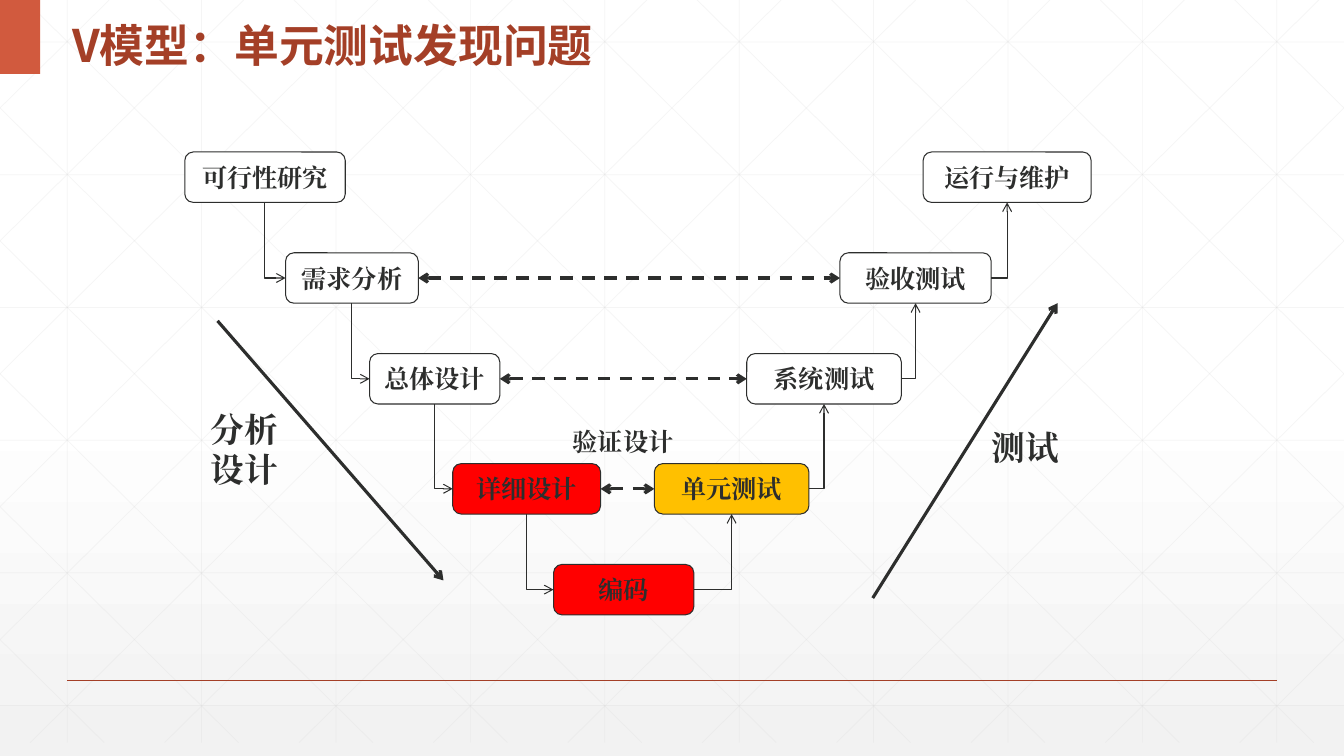
import dataclasses
import typing

import lxml.etree
import pptx
import pptx.dml.color
import pptx.enum.dml
import pptx.enum.shapes
import pptx.enum.text
import pptx.oxml.ns
import pptx.util

RGB = pptx.dml.color.RGBColor
WHITE = RGB(0xFF, 0xFF, 0xFF)
MIST = RGB(0xF2, 0xF2, 0xF2)
GRID_GREY = RGB(0xD9, 0xD9, 0xD9)
INK = RGB(0x2D, 0x2E, 0x2D)
BRICK = RGB(0xA4, 0x3F, 0x27)
CORAL = RGB(0xD1, 0x5A, 0x3E)
RED = RGB(0xFF, 0x00, 0x00)
AMBER = RGB(0xFF, 0xC0, 0x00)

COLS, ROWS = 160, 90
WIDTH, HEIGHT = pptx.util.Inches(13.3333), pptx.util.Inches(7.5)
SERIF, SANS = "Times New Roman", "Noto Sans CJK SC"
MIDDLE = pptx.enum.text.MSO_ANCHOR.MIDDLE
TOP = pptx.enum.text.MSO_ANCHOR.TOP
CENTER = pptx.enum.text.PP_ALIGN.CENTER
LEFT = pptx.enum.text.PP_ALIGN.LEFT
Point = tuple[float, float]


@dataclasses.dataclass(frozen=True)
class Stage:
    text: str
    col: float
    row: float
    cols: float
    fill: RGB = WHITE


@dataclasses.dataclass(frozen=True)
class Label:
    lines: tuple[str, ...]
    col: float
    row: float
    cols: float
    rows: float
    size: float
    font: str = SERIF
    color: RGB = INK
    anchor: typing.Any = TOP
    spacing: float = 1.0


@dataclasses.dataclass(frozen=True)
class Stroke:
    color: RGB
    width: float
    dashed: bool = False
    head: bool = False
    tail: bool = False
    alpha: int = 100


GRID = Stroke(GRID_GREY, 0.5, alpha=25)
RULE = Stroke(BRICK, 1)
DOWN = Stroke(INK, 0.75, head=True)
UP = Stroke(INK, 0.75, tail=True)
VERIFY = Stroke(INK, 2.25, dashed=True, head=True, tail=True)
TREND = Stroke(INK, 2.25, tail=True)

STAGE_ROWS = 6
DESIGN = [
    Stage("可行性研究", 22, 18.1, 19.1),
    Stage("需求分析", 34, 30.1, 15.8),
    Stage("总体设计", 44, 42.1, 15.5),
    Stage("详细设计", 53.9, 55.2, 17.6),
    Stage("编码", 65.9, 67.2, 16.7, RED),
]
DESIGN[3] = dataclasses.replace(DESIGN[3], fill=RED)
TESTING = [
    Stage("运行与维护", 109.9, 18.1, 20),
    Stage("验收测试", 100, 30.1, 18),
    Stage("系统测试", 88.9, 42.1, 18.4),
    Stage("单元测试", 77.9, 55.2, 18.4, AMBER),
]
LABELS = [
    Label(("V模型：单元测试发现问题",), 7.4, 0, 102, 8.8, 32, SANS, BRICK, MIDDLE, 1.3),
    Label(("分析", "设计"), 23.9, 48.1, 15, 13, 24),
    Label(("测试",), 116.9, 50.2, 12, 8, 24),
    Label(("验证设计",), 67, 50.2, 16, 4.6, 18),
]


def x(col: float) -> int:
    return round(WIDTH * col / COLS)


def y(row: float) -> int:
    return round(HEIGHT * row / ROWS)


def assign(target: typing.Any, values: dict[str, typing.Any]) -> None:
    for name, value in values.items():
        setattr(target, name, value)


def add_tag(parent: typing.Any, tag: str, **attrs: str) -> None:
    lxml.etree.SubElement(parent, pptx.oxml.ns.qn(tag), attrs)


def write(tf: typing.Any, lines: tuple[str, ...], size: float, font: str, color: RGB,
          align: typing.Any, anchor: typing.Any, spacing: float = 1.0) -> None:
    assign(tf, {"word_wrap": True, "vertical_anchor": anchor})
    for i, line in enumerate(lines):
        p = tf.paragraphs[0] if i == 0 else tf.add_paragraph()
        assign(p, {"alignment": align, "line_spacing": spacing})
        r = p.add_run()
        r.text = line
        assign(r.font, {"size": pptx.util.Pt(size), "bold": True, "name": font})
        r.font.color.rgb = color
        add_tag(r.font._element, "a:ea", typeface=font)


def add_stage(s: typing.Any, stage: Stage) -> typing.Any:
    sp = s.shapes.add_shape(pptx.enum.shapes.MSO_SHAPE.ROUNDED_RECTANGLE,
                            x(stage.col), y(stage.row), x(stage.cols), y(STAGE_ROWS))
    sp.shadow.inherit = False
    sp.fill.solid()
    sp.fill.fore_color.rgb = stage.fill
    sp.line.color.rgb = INK
    sp.line.width = pptx.util.Pt(0.75)
    write(sp.text_frame, (stage.text,), 18, SERIF, INK, CENTER, MIDDLE)
    return sp


def add_label(s: typing.Any, label: Label) -> None:
    sp = s.shapes.add_textbox(x(label.col), y(label.row), x(label.cols), y(label.rows))
    write(sp.text_frame, label.lines, label.size, label.font, label.color,
          LEFT, label.anchor, label.spacing)


def style(c: typing.Any, stroke: Stroke) -> None:
    c.line.color.rgb = stroke.color
    c.line.width = pptx.util.Pt(stroke.width)
    if stroke.dashed:
        c.line.dash_style = pptx.enum.dml.MSO_LINE.DASH
    sp_pr = c._element.spPr
    ln = sp_pr.find(pptx.oxml.ns.qn("a:ln"))
    if stroke.alpha < 100:
        add_tag(ln.find(".//" + pptx.oxml.ns.qn("a:srgbClr")), "a:alpha",
                val=str(stroke.alpha * 1000))
    for shown, tag in ((stroke.head, "a:headEnd"), (stroke.tail, "a:tailEnd")):
        if shown:
            add_tag(ln, tag, type="arrow")
    add_tag(sp_pr, "a:effectLst")


def add_line(s: typing.Any, start: Point, end: Point, stroke: Stroke) -> None:
    c = s.shapes.add_connector(pptx.enum.shapes.MSO_CONNECTOR.STRAIGHT,
                               x(start[0]), y(start[1]), x(end[0]), y(end[1]))
    style(c, stroke)


def join(s: typing.Any, a: typing.Any, a_side: int, b: typing.Any, b_side: int,
         stroke: Stroke, bent: bool = False) -> None:
    kinds = pptx.enum.shapes.MSO_CONNECTOR
    c = s.shapes.add_connector(kinds.ELBOW if bent else kinds.STRAIGHT, 0, 0, 0, 0)
    c.begin_connect(a, a_side)
    c.end_connect(b, b_side)
    if bent:
        c._element.spPr.find(pptx.oxml.ns.qn("a:prstGeom")).set("prst", "bentConnector2")
    style(c, stroke)


def add_backdrop(s: typing.Any) -> None:
    fill = s.background.fill
    fill.gradient()
    fill.gradient_angle = 270
    for stop, color, position in zip(fill.gradient_stops, (WHITE, MIST), (0.53, 1)):
        stop.color.rgb = color
        stop.position = position
    step, bottom, run = 16, 88.4, 89.4
    for i in range(10):
        add_line(s, (8 + step * i, 0), (8 + step * i, bottom), GRID)
    for i in range(6):
        add_line(s, (0, 5 + 15.8 * i), (COLS, 5 + 15.8 * i), GRID)
    slope = bottom / run
    for i in range(-5, 10):
        top_col = 3 + step * i
        left, right = max(top_col, 0), min(top_col + run, COLS)
        rows = [(col - top_col) * slope for col in (left, right)]
        add_line(s, (left, rows[0]), (right, rows[1]), GRID)
        add_line(s, (COLS - left, rows[0]), (COLS - right, rows[1]), GRID)
    add_line(s, (8, 81), (152, 81), RULE)
    sp = s.shapes.add_shape(pptx.enum.shapes.MSO_SHAPE.RECTANGLE, 0, 0, x(4.8), y(8.8))
    sp.shadow.inherit = False
    sp.fill.solid()
    sp.fill.fore_color.rgb = CORAL
    sp.line.fill.background()


def main() -> None:
    prs = pptx.Presentation()
    assign(prs, {"slide_width": WIDTH, "slide_height": HEIGHT})
    s = prs.slides.add_slide(prs.slide_layouts[6])
    add_backdrop(s)
    design = [add_stage(s, stage) for stage in DESIGN]
    testing = [add_stage(s, stage) for stage in TESTING]
    for upper, lower in zip(design, design[1:]):
        join(s, lower, 1, upper, 2, DOWN, bent=True)
    for upper, lower in zip(testing, testing[1:] + design[-1:]):
        join(s, lower, 3, upper, 2, UP, bent=True)
    for a, b in zip(design[1:], testing[1:]):
        join(s, a, 3, b, 1, VERIFY)
    add_line(s, (25.9, 38.2), (52.8, 69.1), TREND)
    add_line(s, (103.9, 71.2), (125.9, 36.1), TREND)
    for label in LABELS:
        add_label(s, label)
    prs.save("out.pptx")


if __name__ == "__main__":
    main()
